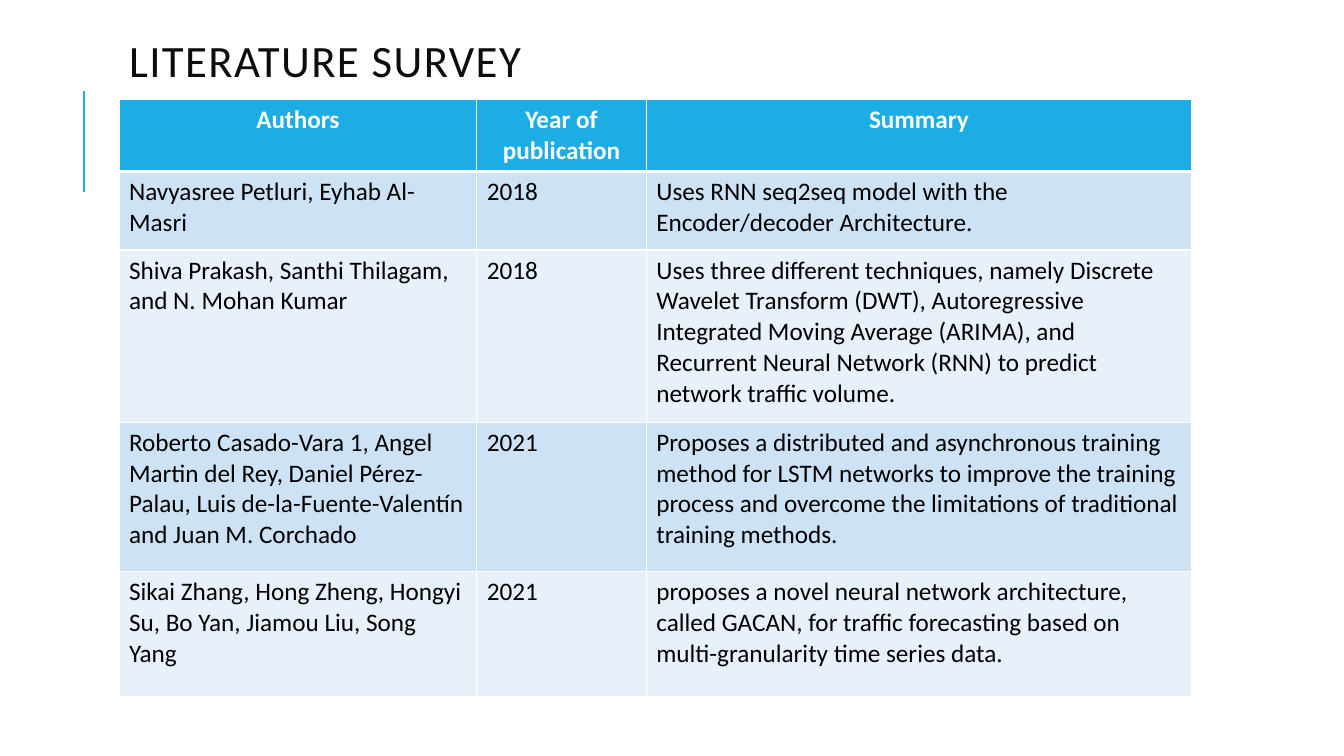
"""Build the literature survey slide with its table of related papers."""
import lxml.etree
import pptx
import pptx.dml.color
import pptx.enum.shapes
import pptx.enum.text
import pptx.oxml.ns
import pptx.util

Inches = pptx.util.Inches
RGBColor = pptx.dml.color.RGBColor
Align = pptx.enum.text.PP_ALIGN
Anchor = pptx.enum.text.MSO_ANCHOR
qualify = pptx.oxml.ns.qn

ACCENT = RGBColor(0x1C, 0xAD, 0xE4)
DARK_BAND = RGBColor(0xCD, 0xE3, 0xF5)
LIGHT_BAND = RGBColor(0xE8, 0xF1, 0xFA)
TITLE_INK = RGBColor(0x0D, 0x0D, 0x0D)
BLACK = RGBColor(0, 0, 0)
WHITE = RGBColor(255, 255, 255)

COLUMN_WIDTHS = [3.55, 1.68, 5.41]
ROW_HEIGHTS = [0.7, 0.78, 1.71, 1.48, 1.24]
PAPERS = [
    ("Authors", "Year of publication", "Summary"),
    ("Navyasree Petluri, Eyhab Al-Masri", "2018",
     "Uses RNN seq2seq model with the Encoder/decoder Architecture."),
    ("Shiva Prakash, Santhi Thilagam, and N. Mohan Kumar", "2018",
     "Uses three different techniques, namely Discrete Wavelet Transform (DWT), "
     "Autoregressive Integrated Moving Average (ARIMA), and Recurrent Neural "
     "Network (RNN) to predict network traffic volume."),
    ("Roberto Casado-Vara 1, Angel Martin del Rey, Daniel Pérez-Palau, "
     "Luis de-la-Fuente-Valentín and Juan M. Corchado", "2021",
     "Proposes a distributed and asynchronous training method for LSTM networks "
     "to improve the training process and overcome the limitations of "
     "traditional training methods."),
    ("Sikai Zhang, Hong Zheng, Hongyi Su, Bo Yan, Jiamou Liu, Song Yang", "2021",
     "proposes a novel neural network architecture, called GACAN, for traffic "
     "forecasting based on multi-granularity time series data."),
]


def write_text(frame, text, size=18, color=BLACK, bold=False, align=Align.LEFT):
    paragraph = frame.paragraphs[0]
    paragraph.alignment = align
    run = paragraph.add_run()
    run.text = text
    run.font.name = "Calibri"
    run.font.size = pptx.util.Pt(size)
    run.font.bold = bold
    run.font.color.rgb = color
    return paragraph


def add_border(cell, side, points):
    properties = cell._tc.get_or_add_tcPr()
    line = lxml.etree.SubElement(properties, qualify(f"a:ln{side}"),
                                 w=str(pptx.util.Pt(points)))
    fill = lxml.etree.SubElement(line, qualify("a:solidFill"))
    lxml.etree.SubElement(fill, qualify("a:srgbClr"), val=str(WHITE))


presentation = pptx.Presentation()
presentation.slide_width = Inches(13.33)
presentation.slide_height = Inches(7.5)
slide = presentation.slides.add_slide(presentation.slide_layouts[5])

accent_line = slide.shapes.add_connector(
    pptx.enum.shapes.MSO_CONNECTOR.STRAIGHT,
    Inches(0.83), Inches(1.9), Inches(0.83), Inches(0.9))
accent_line.line.color.rgb = ACCENT
accent_line.line.width = pptx.util.Pt(1.5)
lxml.etree.SubElement(accent_line._element.spPr, qualify("a:effectLst"))

title = slide.shapes.title
title.left, title.top = Inches(1.18), Inches(0.23)
title.width, title.height = Inches(10.63), Inches(0.83)
title.text_frame.auto_size = pptx.enum.text.MSO_AUTO_SIZE.NONE
title.text_frame.vertical_anchor = Anchor.MIDDLE
heading = write_text(title.text_frame, "LITERATURE SURVEY", size=32, color=TITLE_INK)
heading.line_spacing = 0.8
heading.runs[0].font._element.set("spc", "100")

table = slide.shapes.add_table(
    len(PAPERS), len(COLUMN_WIDTHS), Inches(1.18), Inches(0.99),
    Inches(sum(COLUMN_WIDTHS)), Inches(sum(ROW_HEIGHTS))).table
for column, width in zip(table.columns, COLUMN_WIDTHS):
    column.width = Inches(width)
for row, height in zip(table.rows, ROW_HEIGHTS):
    row.height = Inches(height)

for row_index, paper in enumerate(PAPERS):
    is_header = row_index == 0
    band = ACCENT if is_header else DARK_BAND if row_index % 2 else LIGHT_BAND
    for column_index, text in enumerate(paper):
        cell = table.cell(row_index, column_index)
        for side in "LRTB":
            is_thick = (row_index, side) in [(0, "B"), (1, "T")]
            add_border(cell, side, 3 if is_thick else 1)
        cell.fill.solid()
        cell.fill.fore_color.rgb = band
        write_text(cell.text_frame, text, bold=is_header,
                   color=WHITE if is_header else BLACK,
                   align=Align.CENTER if is_header else Align.LEFT)

presentation.save("out.pptx")
